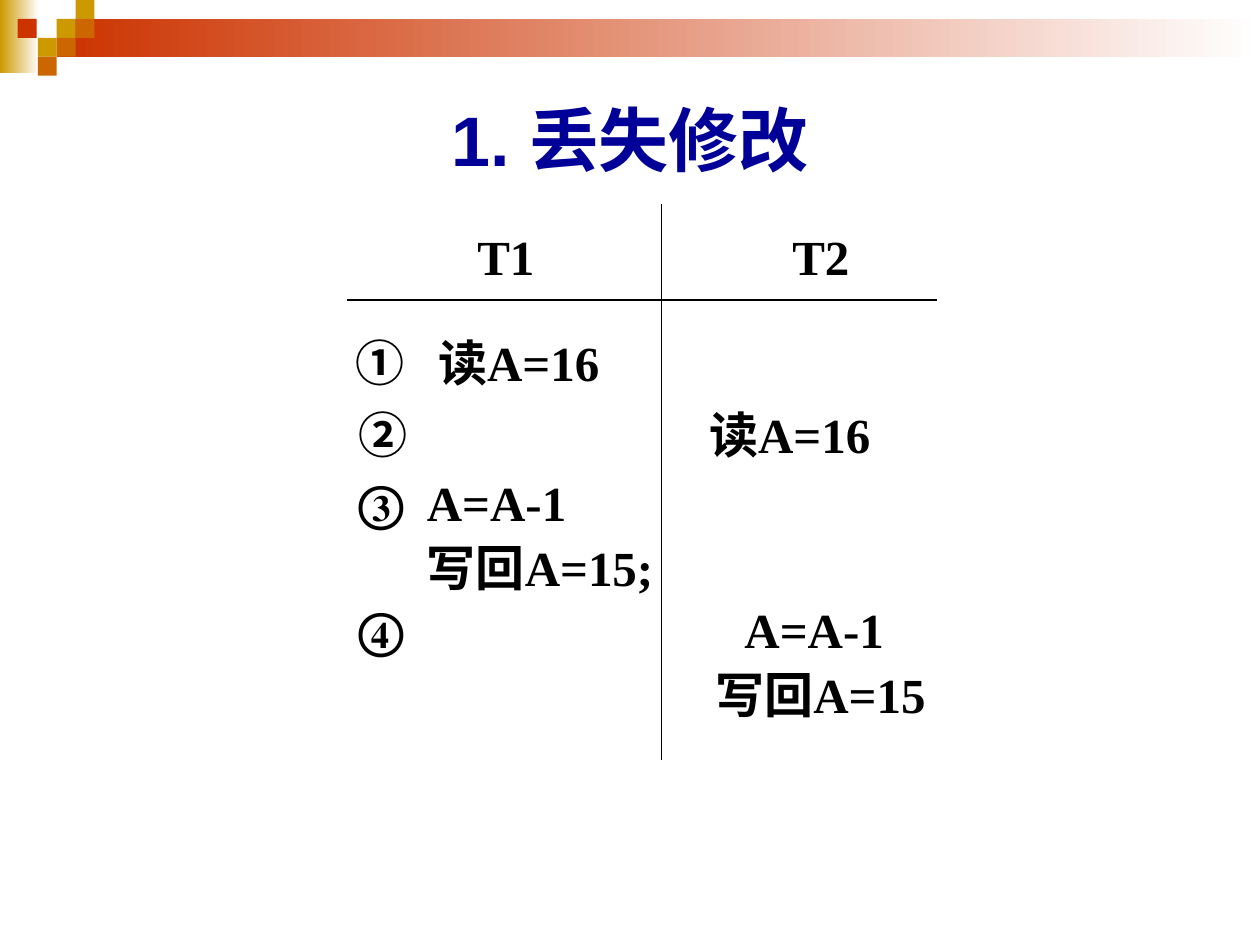
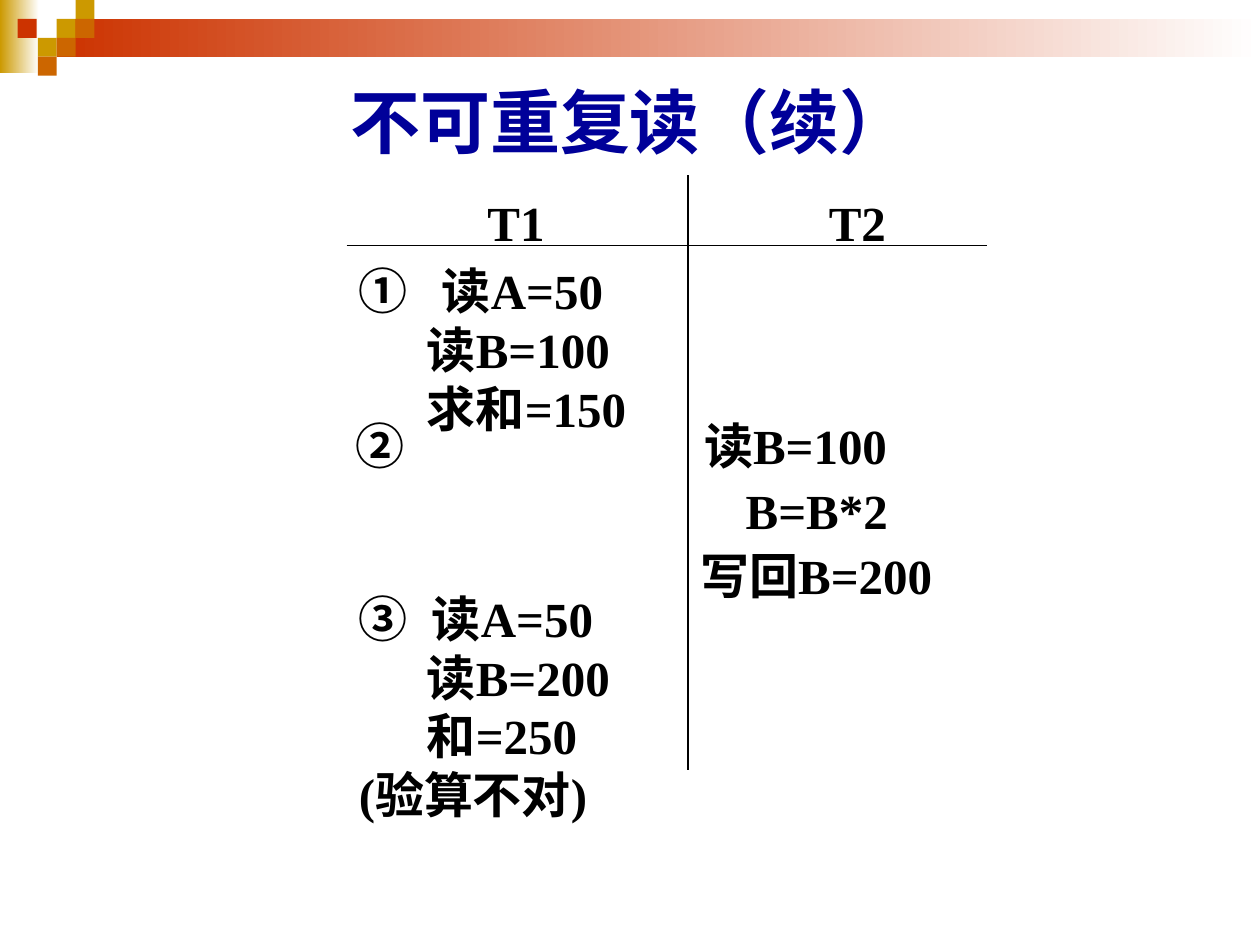
from dataclasses import dataclass

from lxml import etree
from pptx import Presentation
from pptx.dml.color import RGBColor
from pptx.enum.shapes import MSO_CONNECTOR, MSO_SHAPE
from pptx.enum.text import MSO_ANCHOR, PP_ALIGN
from pptx.oxml.ns import qn
from pptx.presentation import Presentation as Deck
from pptx.shapes.autoshape import Shape
from pptx.slide import Slide
from pptx.text.text import Font
from pptx.util import Inches, Pt

RECTANGLE = MSO_SHAPE.RECTANGLE
STRAIGHT = MSO_CONNECTOR.STRAIGHT
CENTER = PP_ALIGN.CENTER
MIDDLE = MSO_ANCHOR.MIDDLE

COLORS = {
    "white": "FFFFFF",
    "black": "000000",
    "navy": "000099",
    "gold": "CC9900",
    "orange": "CC6600",
    "red": "CC3300",
}
TITLE_FONT, BODY_FONT = "Arial", "Times New Roman"
TILE = 0.15
TITLE_ONLY_LAYOUT = 5
FIRST_BAND_ID = 101


@dataclass(frozen=True)
class Band:
    left: float
    top: float
    width: float
    height: float
    color: str
    fades: bool = False


@dataclass(frozen=True)
class Line:
    """A line of a step; indent is where its text starts, after any marker."""
    text: str
    indent: float = 0
    marker: str = ""


@dataclass(frozen=True)
class Step:
    left: float
    top: float
    width: float
    height: float
    lines: tuple[Line, ...]
    tight: bool = False


@dataclass(frozen=True)
class Schedule:
    """A two-transaction timetable with its heading rule and divider."""
    title: str
    title_top: float
    title_height: float
    heading_top: float
    heading_lefts: tuple[float, float]
    divider_x: float
    divider_top: float
    divider_bottom: float
    rule_y: float
    rule_right: float
    steps: tuple[Step, ...]


def tile(left: float, row: int, color: str) -> Band:
    return Band(left, row * TILE, TILE, TILE, color)


BANDS = (
    Band(0, 0, 0.31, 0.58, "gold", fades=True),
    Band(0.45, 0.15, 9.55, 0.3, "red", fades=True),
    tile(0.45, 1, "gold"),
    tile(0.6, 0, "gold"),
    tile(0.6, 1, "orange"),
    tile(0.3, 2, "gold"),
    tile(0.14, 1, "red"),
    tile(0.45, 2, "orange"),
    tile(0.3, 3, "orange"),
)

RULE_LEFT = 2.75
T1_INDENT = 0.54

SCHEDULES = (
    Schedule(
        "1. 丢失修改", 0.5, 1.2,
        heading_top=1.75, heading_lefts=(3.69, 6.19),
        divider_x=5.25, divider_top=1.62, divider_bottom=6.03,
        rule_y=2.38, rule_right=7.44,
        steps=(
            Step(2.72, 2.59, 2.4, 0.57, (Line("读A=16", 0.66, "①"),)),
            Step(2.75, 3.21, 5.32, 0.52, (Line("读A=16", 2.78, "②"),), tight=True),
            Step(2.75, 3.75, 4.06, 1.67, (
                Line("A=A-1", T1_INDENT, "③"),
                Line("写回A=15;", T1_INDENT),
            ), tight=True),
            Step(2.75, 4.76, 5.79, 1.67, (
                Line("A=A-1", 3.06, "④"),
                Line("写回A=15", 2.83),
            ), tight=True),
        ),
    ),
    Schedule(
        "不可重复读（续）", 0.52, 0.87,
        heading_top=1.48, heading_lefts=(3.77, 6.48),
        divider_x=5.46, divider_top=1.39, divider_bottom=6.11,
        rule_y=1.95, rule_right=7.83,
        steps=(
            Step(2.75, 2.02, 2.8, 1.5, (
                Line("读A=50", 0.66, "①"),
                Line("读B=100", T1_INDENT),
                Line("求和=150", T1_INDENT),
            )),
            Step(2.72, 3.3, 5.87, 1.56, (
                Line("读B=100", 2.77, "②"),
                Line("B=B*2", 3.1),
                Line("写回B=200", 2.74),
            ), tight=True),
            Step(2.75, 4.62, 2.64, 1.97, (
                Line("读A=50", 0.58, "③"),
                Line("读B=200", T1_INDENT),
                Line("和=250", T1_INDENT),
                Line("(验算不对)"),
            )),
        ),
    ),
)


def rgb(name: str) -> RGBColor:
    return RGBColor.from_string(COLORS[name])


def style_font(font: Font, name: str, size: float, color: str) -> None:
    font.name = name
    font.size = Pt(size)
    font.bold = True
    font.color.rgb = rgb(color)


def add_band(slide: Slide, band: Band) -> Shape:
    shape = slide.shapes.add_shape(
        RECTANGLE, Inches(band.left), Inches(band.top),
        Inches(band.width), Inches(band.height))
    shape.shadow.inherit = False
    shape.line.fill.background()
    if band.fades:
        shape.fill.gradient()
        shape.fill.gradient_angle = 0
        for stop, color in zip(shape.fill.gradient_stops, (band.color, "white")):
            stop.color.rgb = rgb(color)
    else:
        shape.fill.solid()
        shape.fill.fore_color.rgb = rgb(band.color)
    return shape


def move_bands_to_master(presentation: Deck, slide: Slide) -> None:
    """Draw the bands on a slide, then hand them to the master to share."""
    tree = presentation.slide_master.shapes.element
    for index, band in enumerate(BANDS):
        element = add_band(slide, band).element
        element.find(".//" + qn("p:cNvPr")).set("id", str(FIRST_BAND_ID + index))
        tree.insert(2 + index, element)


def add_line(slide: Slide, x1: float, y1: float, x2: float, y2: float) -> None:
    connector = slide.shapes.add_connector(
        STRAIGHT, Inches(x1), Inches(y1), Inches(x2), Inches(y2))
    connector.line.color.rgb = rgb("black")
    connector.line.width = Pt(0.75)
    properties = connector.element.find(qn("p:spPr"))
    etree.SubElement(properties, qn("a:effectLst"))


def add_step(slide: Slide, step: Step) -> None:
    box = slide.shapes.add_textbox(
        Inches(step.left), Inches(step.top), Inches(step.width), Inches(step.height))
    frame = box.text_frame
    frame.word_wrap = True
    for index, line in enumerate(step.lines):
        paragraph = frame.paragraphs[0] if index == 0 else frame.add_paragraph()
        paragraph.text = f"{line.marker}\t{line.text}" if line.marker else line.text
        style_font(paragraph.font, BODY_FONT, 28, "black")
        if step.tight:
            paragraph.line_spacing = 0.9
            paragraph.space_before = Pt(7)
        set_indent(paragraph._p.get_or_add_pPr(), line)


def set_indent(properties: etree.ElementBase, line: Line) -> None:
    """Hang the marker to the left of the text, with a tab between them."""
    indent = str(Inches(line.indent))
    properties.set("marL", indent)
    properties.set("indent", f"-{indent}" if line.marker else "0")
    if line.marker:
        tabs = etree.Element(qn("a:tabLst"))
        etree.SubElement(tabs, qn("a:tab"), pos=indent, algn="l")
        properties.find(qn("a:defRPr")).addprevious(tabs)


def set_title(slide: Slide, schedule: Schedule) -> None:
    title = slide.shapes.title
    title.left, title.top = Inches(0.5), Inches(schedule.title_top)
    title.width, title.height = Inches(9), Inches(schedule.title_height)
    frame = title.text_frame
    frame.text = schedule.title
    frame.vertical_anchor = MIDDLE
    paragraph = frame.paragraphs[0]
    paragraph.alignment = CENTER
    style_font(paragraph.font, TITLE_FONT, 40, "navy")


def draw_schedule(slide: Slide, schedule: Schedule) -> None:
    set_title(slide, schedule)
    add_line(slide, schedule.divider_x, schedule.divider_top,
             schedule.divider_x, schedule.divider_bottom)
    add_line(slide, RULE_LEFT, schedule.rule_y, schedule.rule_right, schedule.rule_y)
    for name, left in zip(("T1", "T2"), schedule.heading_lefts):
        add_step(slide, Step(left, schedule.heading_top, 0.79, 0.57, (Line(name),)))
    for step in schedule.steps:
        add_step(slide, step)


def main() -> None:
    presentation = Presentation()
    presentation.slide_width, presentation.slide_height = Inches(10), Inches(7.5)
    layout = presentation.slide_layouts[TITLE_ONLY_LAYOUT]
    slides = [presentation.slides.add_slide(layout) for _ in SCHEDULES]
    move_bands_to_master(presentation, slides[0])
    for slide, schedule in zip(slides, SCHEDULES):
        draw_schedule(slide, schedule)
    presentation.save("out.pptx")


if __name__ == "__main__":
    main()
